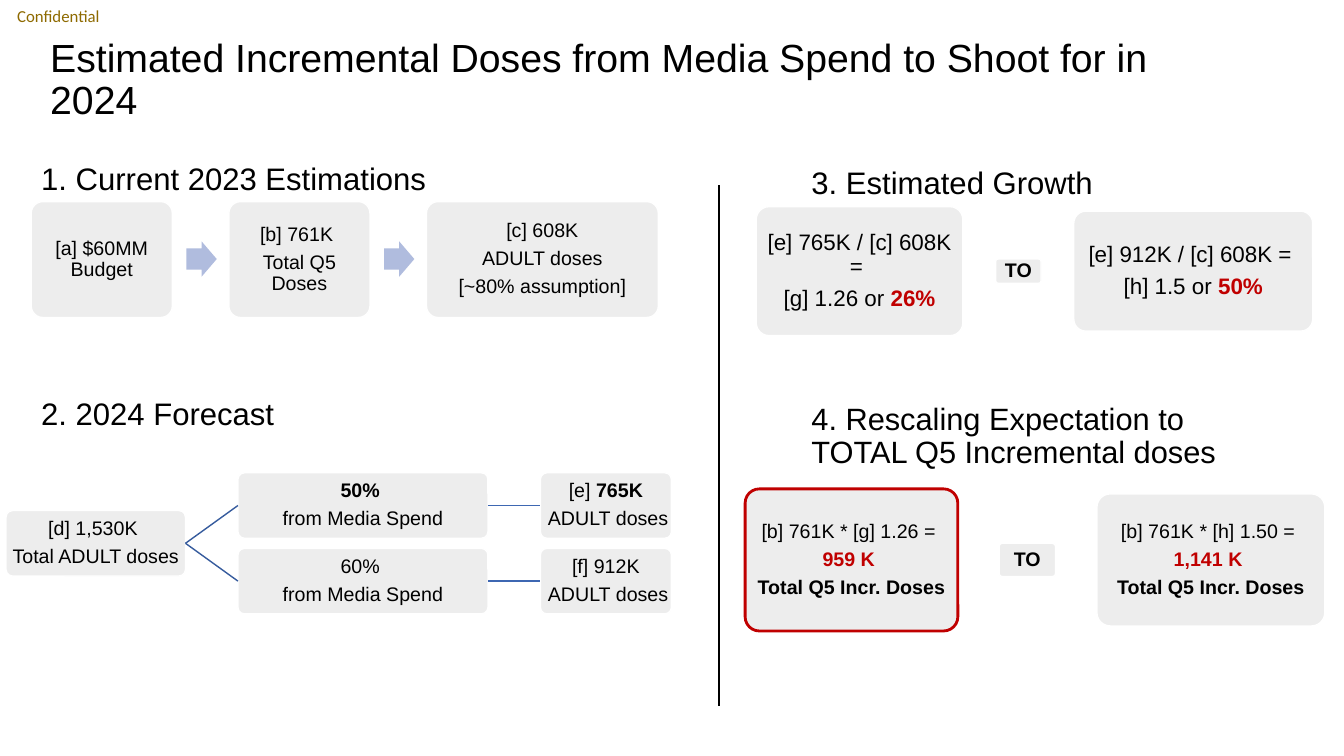
from dataclasses import dataclass

from pptx import Presentation
from pptx.dml.color import RGBColor
from pptx.enum import shapes, text
from pptx.oxml import ns
from pptx.util import Inches, Pt
from lxml import etree


@dataclass(frozen=True)
class Theme:
    ink: str = "000000"
    white: str = "FFFFFF"
    card: str = "EDEDED"
    arrow: str = "B0BCDE"
    branch: str = "365B9D"
    link: str = "3E67B2"
    red: str = "C00000"
    label: str = "8E6A00"
    font: str = "Arial"
    alt: str = "Calibri"
    title: float = 28
    head: float = 22.2
    wrap: float = 22
    large: float = 16
    body: float = 14
    small: float = 12


T = Theme()
MID = text.MSO_ANCHOR.MIDDLE
TOP = text.MSO_ANCHOR.TOP


def color(code):
    return RGBColor.from_string(code)


def add_run(para, words, size, tone=T.ink, bold=False, font=T.font):
    run = para.add_run()
    run.text = words
    run.font.size = Pt(size)
    run.font.name = font
    run.font.bold = bold
    run.font.color.rgb = color(tone)


def set_frame(frame, inset, anchor):
    frame.word_wrap = True
    frame.vertical_anchor = anchor
    frame.margin_left = frame.margin_right = Inches(inset[0])
    frame.margin_top = frame.margin_bottom = Inches(inset[1])


def add_label(slide, box, words, size, anchor=TOP, inset=(0.1, 0.05),
              space=0.9, before=0, **style):
    frame = slide.shapes.add_textbox(*map(Inches, box)).text_frame
    set_frame(frame, inset, anchor)
    para = frame.paragraphs[0]
    para.line_spacing = space
    para.space_before = Pt(before)
    add_run(para, words, size, **style)


def add_head(slide, box, words, size=T.head, space=0.8):
    add_label(slide, box, words, size, space=space, before=10)


def add_form(slide, kind, box, fill):
    form = slide.shapes.add_shape(kind, *map(Inches, box))
    form.shadow.inherit = False
    form.fill.solid()
    form.fill.fore_color.rgb = color(fill)
    return form


def add_card(slide, box, lines, size=T.body, inset=0.06, edge=T.white, width=1):
    card = add_form(slide, shapes.MSO_SHAPE.ROUNDED_RECTANGLE, box, T.card)
    card.adjustments[0] = 0.1
    card.line.color.rgb = color(edge)
    card.line.width = Pt(width)
    frame = card.text_frame
    set_frame(frame, (inset, inset), MID)
    for i, runs in enumerate(lines):
        para = frame.add_paragraph() if i else frame.paragraphs[0]
        para.alignment = text.PP_ALIGN.CENTER
        para.line_spacing = 0.9
        para.space_after = Pt(0.35 * size)
        for words, *style in runs:
            add_run(para, words, size, *style)
    return card


def add_line(slide, ends, tone, width=1):
    line = slide.shapes.add_connector(
        shapes.MSO_CONNECTOR.STRAIGHT, *map(Inches, ends))
    line.line.color.rgb = color(tone)
    line.line.width = Pt(width)
    etree.SubElement(line._element.spPr, ns.qn("a:effectLst"))
    return line


def join(slide, start, end, tone):
    line = add_line(slide, (0, 0, 0, 0), tone)
    line.begin_connect(start, 3)
    line.end_connect(end, 1)


def add_flow(slide, box, steps, gap=0.56):
    x, y, _, high = box
    for i, (wide, lines) in enumerate(steps):
        if i:
            spot = (x - gap + 0.14, y + high / 2 - 0.18, 0.3, 0.35)
            arrow = add_form(slide, shapes.MSO_SHAPE.RIGHT_ARROW, spot, T.arrow)
            arrow.adjustments[0] = 0.6
            arrow.line.fill.background()
        add_card(slide, (x, y, wide, high), lines)
        x += wide + gap


def add_tree(slide, box, root, rows, widths=(1.78, 2.48, 1.3), high=0.65):
    x, y, wide, tall = box
    gap = (wide - sum(widths)) / 2
    mid = x + widths[0] + gap
    last = x + wide - widths[2]
    step = (tall - high) / (len(rows) - 1)
    trunk = add_card(slide, (x, y + (tall - high) / 2, widths[0], high),
                     root, inset=0.01)
    for i, (share, doses) in enumerate(rows):
        row = y + i * step
        node = add_card(slide, (mid, row, widths[1], high), share, inset=0.01)
        leaf = add_card(slide, (last, row, widths[2], high), doses, inset=0.01)
        join(slide, trunk, node, T.branch)
        join(slide, node, leaf, T.link)


def add_range(slide, box, low, top, sizes, size=T.body, inset=0.06, **edge):
    x, y, wide, tall = box
    first, tag, last = sizes
    centre = (x + first[0] + x + wide - last[0]) / 2

    def place(left, dims):
        return left, y + (tall - dims[1]) / 2, *dims

    add_card(slide, place(x, first), low, size, inset, **edge)
    add_card(slide, place(centre - tag[0] / 2, tag), [[("TO", T.ink, True)]])
    add_card(slide, place(x + wide - last[0], last), top, size, inset)


def growth(ratio, value, share):
    return [[(ratio,)], [(value,), (share, T.red, True)]]


def total(sum_, doses):
    return [[(sum_,)], [(doses, T.red, True)],
            [("Total Q5 Incr. Doses", T.ink, True)]]


def build(slide):
    add_label(slide, (0, 0, 1.17, 0.32), "Confidential", T.small, MID,
              (0.17, 0), 1, tone=T.label, font=T.alt)
    add_label(slide, (0.4, 0.4, 12, 0.8),
              "Estimated Incremental Doses from Media Spend to Shoot for in 2024",
              T.title, MID)

    add_head(slide, (0.31, 1.6, 4.75, 0.4), "1. Current 2023 Estimations")
    add_flow(slide, (0.31, 2, 6.22, 1.15), [
        (1.4, [[("[a] $60MM Budget",)]]),
        (1.4, [[("[b] 761K ",)], [("Total Q5 Doses",)]]),
        (2.3, [[("[c] 608K",)], [("ADULT doses",)], [("[~80% assumption]",)]]),
    ])

    add_head(slide, (0.31, 3.94, 4.75, 0.4), "2. 2024 Forecast")
    spend, adult = [("from Media Spend",)], [(" ADULT doses",)]
    add_tree(slide, (0.06, 4.69, 6.6, 1.4),
             [[("[d] 1,530K ",)], [("Total ADULT doses",)]], [
        ([[("50% ", T.ink, True)], spend],
         [[("[e] ",), ("765K", T.ink, True)], adult]),
        ([[("60% ",)], spend], [[("[f] 912K",)], adult]),
    ])

    add_line(slide, (7.13, 1.84, 7.13, 7), T.ink, 1.25)

    add_head(slide, (7.95, 1.64, 4.75, 0.4), "3. Estimated Growth")
    add_range(slide, (7.5, 2.05, 5.52, 1.28),
              growth("[e] 765K / [c] 608K = ", "[g] 1.26 or ", "26%"),
              growth("[e] 912K / [c] 608K = ", "[h] 1.5 or ", "50%"),
              ((2.05, 1.28), (0.45, 0.24), (2.37, 1.19)), T.large, 0.07)

    add_head(slide, (7.95, 3.96, 4.47, 0.96),
             "4. Rescaling Expectation to TOTAL Q5 Incremental doses",
             T.wrap, 0.9)
    add_range(slide, (7.39, 4.85, 5.75, 1.41),
              total("[b] 761K * [g] 1.26 = ", "959 K "),
              total("[b] 761K * [h] 1.50 = ", "1,141 K "),
              ((2.11, 1.41), (0.56, 0.33), (2.26, 1.31)), edge=T.red, width=2)


def main():
    deck = Presentation()
    deck.slide_width = Inches(13.33)
    deck.slide_height = Inches(7.5)
    build(deck.slides.add_slide(deck.slide_layouts[6]))
    deck.save("out.pptx")


if __name__ == "__main__":
    main()
